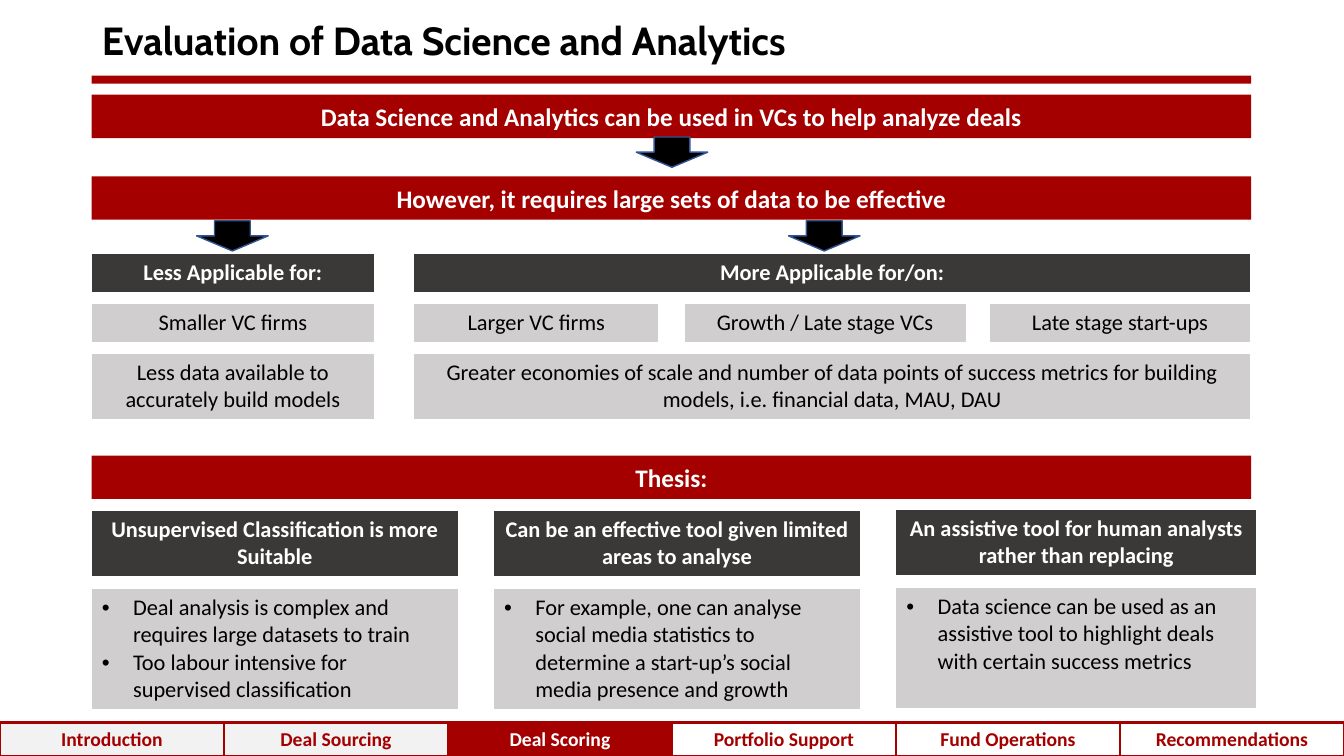
import pptx
import pptx.dml.color
import pptx.enum.shapes
import pptx.enum.text
import pptx.oxml.ns
import pptx.util
from lxml import etree
from pptx.util import Inches

RGBColor = pptx.dml.color.RGBColor
RED = RGBColor(0xA4, 0x00, 0x00)
CHARCOAL = RGBColor(0x3B, 0x38, 0x38)
GREY = RGBColor(0xD0, 0xCE, 0xCE)
PALE = RGBColor(0xF2, 0xF2, 0xF2)
ARROW_EDGE = RGBColor(0x32, 0x54, 0x91)
BLACK = RGBColor(0, 0, 0)
WHITE = RGBColor(0xFF, 0xFF, 0xFF)

CENTER = pptx.enum.text.PP_ALIGN.CENTER
LEFT = pptx.enum.text.PP_ALIGN.LEFT
MIDDLE = pptx.enum.text.MSO_ANCHOR.MIDDLE
SHAPES = pptx.enum.shapes.MSO_SHAPE
qn = pptx.oxml.ns.qn
NO_GRID_STYLE = "{2D5ABB26-0587-4C30-8999-92F81FD0307C}"

MARGIN = 0.91
CONTENT_WIDTH = 11.5
GAP_ROW = 0.12

APPLICABILITY_COLUMNS = [2.8, 0.4, 2.42, 0.26, 2.79, 0.23, 2.58]
APPLICABILITY_ROWS = [0.38, GAP_ROW, 0.37, GAP_ROW, 0.64]
FIRMS = {0: "Smaller VC firms", 2: "Larger VC firms",
         4: "Growth / Late stage VCs", 6: "Late stage start-ups"}
THESES = [
    (0.91, 5.07, 3.63, "Unsupervised Classification is more Suitable",
     ["Deal analysis is complex and requires large datasets to train",
      "Too labour intensive for supervised classification"]),
    (4.9, 5.07, 3.63, "Can be an effective tool given limited areas to analyse",
     ["For example, one can analyse social media statistics to determine "
      "a start-up’s social media presence and growth"]),
    (8.89, 5.06, 3.57, "An assistive tool for human analysts rather than replacing",
     ["Data science can be used as an assistive tool to highlight deals "
      "with certain success metrics"]),
]
SECTIONS = [("Introduction", PALE, RED), ("Deal Sourcing", PALE, RED),
            ("Deal Scoring", RED, WHITE), ("Portfolio Support", WHITE, RED),
            ("Fund Operations", WHITE, RED), ("Recommendations", WHITE, RED)]


def format_text(text_frame, size, color, bold, align=CENTER, font="Calibri"):
    for paragraph in text_frame.paragraphs:
        paragraph.alignment = align
        for run in paragraph.runs:
            run.font.name = font
            run.font.size = pptx.util.Pt(size)
            run.font.bold = bold
            run.font.color.rgb = color


def add_title(slide, left, top, width, height):
    title = slide.shapes.title
    title.left, title.top = Inches(left), Inches(top)
    title.width, title.height = Inches(width), Inches(height)
    title.text_frame.text = "Evaluation of Data Science and Analytics"
    title.text_frame.auto_size = pptx.enum.text.MSO_AUTO_SIZE.NONE
    title.text_frame.vertical_anchor = MIDDLE
    title.text_frame.paragraphs[0].line_spacing = 0.9
    format_text(title.text_frame, 28, BLACK, True, LEFT, "Cabin")


def add_bar(slide, top, height, message=""):
    bar = slide.shapes.add_shape(SHAPES.RECTANGLE, Inches(MARGIN), Inches(top),
                                 Inches(CONTENT_WIDTH), Inches(height))
    bar.shadow.inherit = False
    bar.fill.solid()
    bar.fill.fore_color.rgb = RED
    bar.line.fill.background()
    if message:
        bar.text_frame.text = message
        bar.text_frame.vertical_anchor = MIDDLE
        format_text(bar.text_frame, 18, WHITE, True)


def add_down_arrow(slide, left, top):
    arrow = slide.shapes.add_shape(SHAPES.DOWN_ARROW, Inches(left), Inches(top),
                                   Inches(0.71), Inches(0.3))
    arrow.shadow.inherit = False
    arrow.fill.solid()
    arrow.fill.fore_color.rgb = BLACK
    arrow.line.color.rgb = ARROW_EDGE
    arrow.line.width = pptx.util.Pt(1)


def add_plain_table(slide, left, top, columns, rows):
    """Add a table without grid or fill; empty cells do not stretch thin rows."""
    table = slide.shapes.add_table(
        len(rows), len(columns), Inches(left), Inches(top),
        Inches(sum(columns)), Inches(sum(rows))).table
    table.first_row = table.horz_banding = False
    table._tbl.tblPr.find(qn("a:tableStyleId")).text = NO_GRID_STYLE
    for column, width in zip(table.columns, columns):
        column.width = Inches(width)
    for row, height in zip(table.rows, rows):
        row.height = Inches(height)
    for cell in table.iter_cells():
        cell.fill.background()
        cell.margin_top = cell.margin_bottom = 0
        paragraph = cell.text_frame.paragraphs[0]._p
        etree.SubElement(paragraph, qn("a:endParaRPr"), sz="100")
    return table


def fill_cell(cell, text, fill, color, size=16, bold=False, align=CENTER):
    cell.text_frame.text = text
    cell.margin_top = cell.margin_bottom = Inches(0.05)
    cell.fill.solid()
    cell.fill.fore_color.rgb = fill
    format_text(cell.text_frame, size, color, bold, align)


def add_bullets(text_frame):
    for paragraph in text_frame.paragraphs:
        properties = paragraph._p.get_or_add_pPr()
        properties.set("marL", str(Inches(0.31)))
        properties.set("indent", str(-Inches(0.31)))
        etree.SubElement(properties, qn("a:buFont"), typeface="Arial")
        etree.SubElement(properties, qn("a:buChar"), char="•")


def add_borders(cell, color, width):
    properties = cell._tc.get_or_add_tcPr()
    for position, side in enumerate(("a:lnL", "a:lnR", "a:lnT", "a:lnB")):
        line = etree.Element(qn(side), w=str(pptx.util.Pt(width)))
        solid = etree.SubElement(line, qn("a:solidFill"))
        etree.SubElement(solid, qn("a:srgbClr"), val=str(color))
        properties.insert(position, line)


def add_applicability(slide, left, top):
    table = add_plain_table(slide, left, top, APPLICABILITY_COLUMNS, APPLICABILITY_ROWS)
    for row in (0, 4):
        table.cell(row, 2).merge(table.cell(row, 6))
    for column, heading, reason in (
            (0, "Less Applicable for:", "Less data available to accurately build models"),
            (2, "More Applicable for/on:",
             "Greater economies of scale and number of data points of success "
             "metrics for building models, i.e. financial data, MAU, DAU")):
        fill_cell(table.cell(0, column), heading, CHARCOAL, WHITE, bold=True)
        fill_cell(table.cell(4, column), reason, GREY, BLACK)
    for column, firm in FIRMS.items():
        fill_cell(table.cell(2, column), firm, GREY, BLACK)
    for row in (0, 2):
        for column in FIRMS:
            table.cell(row, column).vertical_anchor = MIDDLE


def add_thesis(slide, left, top, width, heading, points):
    table = add_plain_table(slide, left, top, [width], [0.64, GAP_ROW + 0.01, 1.19])
    fill_cell(table.cell(0, 0), heading, CHARCOAL, WHITE, bold=True)
    fill_cell(table.cell(2, 0), "\n".join(points), GREY, BLACK, align=LEFT)
    add_bullets(table.cell(2, 0).text_frame)


def add_navigation(slide, left, top, width, height):
    columns = [width / len(SECTIONS)] * len(SECTIONS)
    table = add_plain_table(slide, left, top, columns, [height])
    for column, (section, fill, color) in enumerate(SECTIONS):
        cell = table.cell(0, column)
        fill_cell(cell, section, fill, color, size=14, bold=True)
        add_borders(cell, RED, 2.25)


def main():
    presentation = pptx.Presentation()
    presentation.slide_width = Inches(13.33)
    presentation.slide_height = Inches(7.5)
    slide = presentation.slides.add_slide(presentation.slide_layouts[5])

    add_title(slide, MARGIN, 0.09, 9.54, 0.66)
    add_bar(slide, 0.75, 0.08)
    add_bar(slide, 0.94, 0.43,
            "Data Science and Analytics can be used in VCs to help analyze deals")
    add_bar(slide, 1.75, 0.43, "However, it requires large sets of data to be effective")
    add_applicability(slide, MARGIN, 2.52)
    for left, top in ((6.31, 1.36), (7.82, 2.19), (1.95, 2.19)):
        add_down_arrow(slide, left, top)
    add_bar(slide, 4.52, 0.43, "Thesis:")
    for thesis in THESES:
        add_thesis(slide, *thesis)
    add_navigation(slide, 0, 7.17, 13.33, 0.33)
    presentation.save("out.pptx")


if __name__ == "__main__":
    main()
